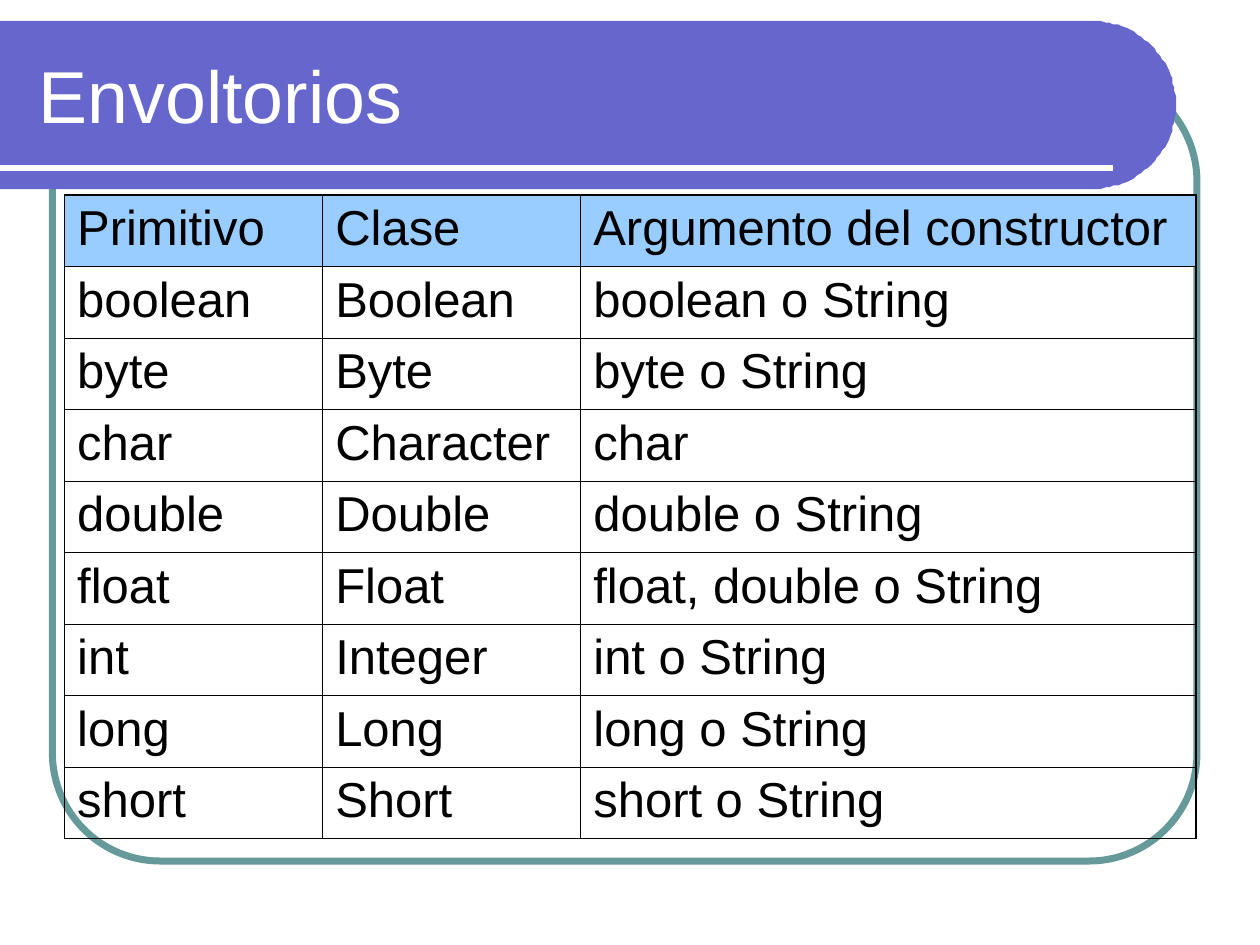
import math

from lxml import etree
from pptx import Presentation
from pptx.dml.color import RGBColor
from pptx.enum import shapes, text
from pptx.oxml import ns
from pptx.util import Pt

TITLE = "Envoltorios"
ROWS = [
    ("Primitivo", "Clase", "Argumento del constructor"),
    ("boolean", "Boolean", "boolean o String"),
    ("byte", "Byte", "byte o String"),
    ("char", "Character", "char"),
    ("double", "Double", "double o String"),
    ("float", "Float", "float, double o String"),
    ("int", "Integer", "int o String"),
    ("long", "Long", "long o String"),
    ("short", "Short", "short o String"),
]
COLORS = {"banner": "6666CC", "frame": "669999", "header": "99CCFF",
          "light": "FFFFFF", "dark": "000000"}
FONT = "Arial"
COL_WIDTHS = (147.5, 147.5, 351.5)
ROW_HEIGHT = 40.8
INNER, OUTER = 0.45, 1.08  # table border widths


def rgb(name):
    return RGBColor.from_string(COLORS[name])


def style(p, size, color):
    p.font.name, p.font.size = FONT, Pt(size)
    p.font.color.rgb = rgb(color)


def add_frame(slide):
    sp = slide.shapes.add_shape(shapes.MSO_SHAPE.ROUNDED_RECTANGLE,
                                Pt(30), Pt(42), Pt(654), Pt(450))
    sp.adjustments[0] = 0.137
    sp.shadow.inherit = False
    sp.fill.background()
    sp.line.color.rgb = rgb("frame")
    sp.line.width = Pt(4)


def add_banner(slide):
    """Bar from the left edge with a semicircular right end, and its rule."""
    top, bottom, center_x = 12, 108, 624
    radius, center_y = (bottom - top) / 2, (top + bottom) / 2
    angles = [math.radians(a) for a in range(-90, 91, 3)]
    arc = [(center_x + radius * math.cos(a), center_y + radius * math.sin(a))
           for a in angles]
    builder = slide.shapes.build_freeform(0, top, scale=Pt(1))
    builder.add_line_segments(arc + [(0, bottom)], close=True)
    sp = builder.convert_to_shape()
    sp.shadow.inherit = False
    sp.fill.solid()
    sp.fill.fore_color.rgb = rgb("banner")
    sp.line.fill.background()

    rule = slide.shapes.add_connector(shapes.MSO_CONNECTOR.STRAIGHT,
                                      0, Pt(96), Pt(636), Pt(96))
    rule.line.color.rgb = rgb("light")
    rule.line.width = Pt(3)
    etree.SubElement(rule.element.spPr, ns.qn("a:effectLst"))


def add_title(slide):
    tf = slide.shapes.add_textbox(Pt(15), Pt(18), Pt(631.5), Pt(72)).text_frame
    tf.word_wrap = True
    tf.vertical_anchor = text.MSO_ANCHOR.MIDDLE
    tf.text = TITLE
    style(tf.paragraphs[0], 42, "light")


def set_borders(cell, widths):
    """Put the four borders ahead of the cell's fill, as the schema requires."""
    tc_pr = cell._tc.get_or_add_tcPr()
    for i, (side, width) in enumerate(widths.items()):
        ln = etree.Element(ns.qn(f"a:ln{side}"), w=str(int(Pt(width))))
        fill = etree.SubElement(ln, ns.qn("a:solidFill"))
        etree.SubElement(fill, ns.qn("a:srgbClr"), val=COLORS["dark"])
        tc_pr.insert(i, ln)


def add_wrapper_table(slide):
    n_rows, n_cols = len(ROWS), len(COL_WIDTHS)
    table = slide.shapes.add_table(n_rows, n_cols, Pt(36.9), Pt(111.5),
                                   Pt(sum(COL_WIDTHS)),
                                   Pt(n_rows * ROW_HEIGHT)).table
    table.horz_banding = False
    table.first_row = False
    for column, width in zip(table.columns, COL_WIDTHS):
        column.width = Pt(width)
    for r, row in enumerate(ROWS):
        table.rows[r].height = Pt(ROW_HEIGHT)
        for c, value in enumerate(row):
            cell = table.cell(r, c)
            cell.text = value
            p = cell.text_frame.paragraphs[0]
            p.space_before = Pt(7)
            style(p, 28, "dark")
            if r == 0:
                cell.fill.solid()
                cell.fill.fore_color.rgb = rgb("header")
            else:
                cell.fill.background()
            on_edge = {"L": c == 0, "R": c == n_cols - 1,
                       "T": r == 0, "B": r == n_rows - 1}
            set_borders(cell, {side: OUTER if edge else INNER
                               for side, edge in on_edge.items()})


def main():
    prs = Presentation()
    prs.slide_width, prs.slide_height = Pt(720), Pt(540)
    slide = prs.slides.add_slide(prs.slide_layouts[6])
    add_frame(slide)
    add_banner(slide)
    add_title(slide)
    add_wrapper_table(slide)
    prs.save("out.pptx")


if __name__ == "__main__":
    main()
